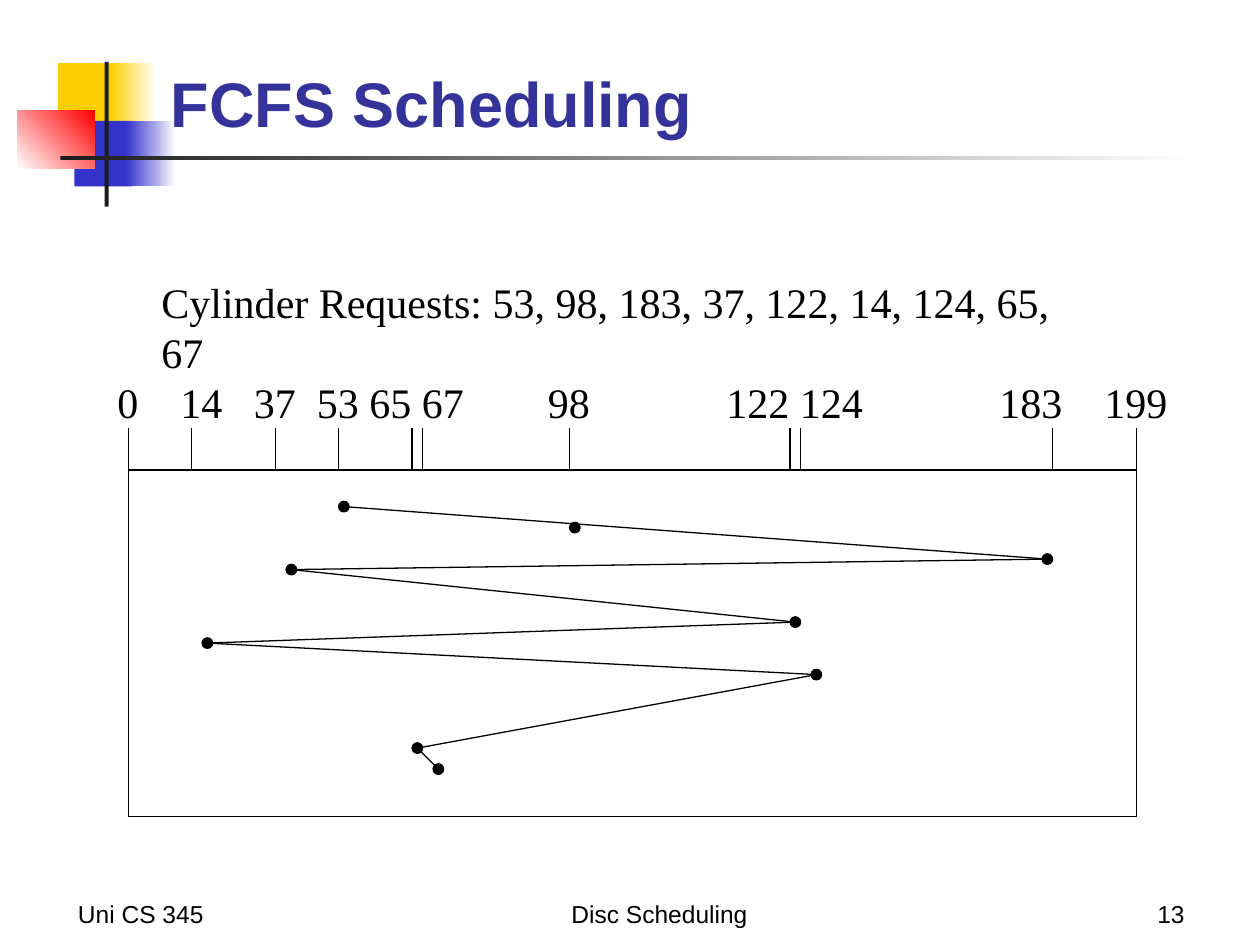
from itertools import pairwise
from lxml.etree import SubElement
from pptx import Presentation
from pptx.dml.color import RGBColor
from pptx.enum.shapes import MSO_CONNECTOR, MSO_SHAPE
from pptx.enum.text import MSO_ANCHOR, PP_ALIGN
from pptx.oxml.ns import qn
from pptx.util import Inches, Pt

BLACK = RGBColor(0x00, 0x00, 0x00)
WHITE = RGBColor(0xFF, 0xFF, 0xFF)
YELLOW = RGBColor(0xFF, 0xCF, 0x01)
BLUE = RGBColor(0x33, 0x33, 0xCC)
RED = RGBColor(0xFF, 0x00, 0x00)
CHARCOAL = RGBColor(0x1C, 0x1C, 0x1C)
INDIGO = RGBColor(0x33, 0x33, 0x99)

CELL = Inches(1) / 12
COLUMNS, ROWS = 120, 90

REQUESTS = [53, 98, 183, 37, 122, 14, 124, 65, 67]
DOT_CELLS = [(20, 3), (42, 5), (87, 8), (15, 9), (63, 14), (7, 16), (65, 19), (27, 26), (29, 28)]
PASSED_OVER = 98
TICK_COLUMNS = [0, 6, 14, 20, 27, 28, 42, 63, 64, 88, 96]
LABEL_COLUMNS = [0, 6, 13, 19, 24, 29, 41, 58, 65, 84, 94]


def cells(*lengths):
    return [round(length * CELL) for length in lengths]


def add_block(slide, kind, box, colors=(), angle=0, outline=None):
    shape = slide.shapes.add_shape(kind, *cells(*box))
    shape.shadow.inherit = False
    if len(colors) == 2:
        shape.fill.gradient()
        shape.fill.gradient_angle = angle
        for stop, color in zip(shape.fill.gradient_stops, colors):
            stop.color.rgb = color
    elif colors:
        shape.fill.solid()
        shape.fill.fore_color.rgb = colors[0]
    else:
        shape.fill.background()
    if outline is None:
        shape.line.fill.background()
    else:
        shape.line.color.rgb = outline
        shape.line.width = Pt(0.75)


def add_line(slide, start, end):
    connector = slide.shapes.add_connector(MSO_CONNECTOR.STRAIGHT, *cells(*start, *end))
    connector.line.color.rgb = BLACK
    connector.line.width = Pt(0.75)
    SubElement(connector._element.spPr, qn("a:effectLst"))


def add_text(slide, text, box, size=24, font="Times New Roman", color=BLACK, bold=False,
             align=PP_ALIGN.LEFT, anchor=MSO_ANCHOR.TOP, wrap=True, right_inset=0.1, tabs=()):
    frame = slide.shapes.add_textbox(*cells(*box)).text_frame
    frame.word_wrap = wrap
    frame.vertical_anchor = anchor
    frame.margin_right = Inches(right_inset)
    paragraph = frame.paragraphs[0]
    paragraph.alignment = align
    run = paragraph.add_run()
    run.text = text
    run.font.name = font
    run.font.size = Pt(size)
    run.font.bold = bold
    run.font.color.rgb = color
    if tabs:
        tab_list = SubElement(paragraph._p.get_or_add_pPr(), qn("a:tabLst"))
        for position in cells(*tabs):
            SubElement(tab_list, qn("a:tab"), pos=str(position), algn="l")


def add_ornament(slide, left, top):
    for x, y, width, height, colors, angle in [
        (3.84, 0.12, 5.76, 6.24, [YELLOW], 0),
        (8.88, 0.12, 4.32, 6.24, [YELLOW, WHITE], 0),
        (5.4, 5.64, 5.52, 6.24, [BLUE], 0),
        (10.32, 5.64, 4.8, 6.24, [BLUE, WHITE], 0),
        (0, 4.68, 7.32, 5.52, [WHITE, RED], 45),
        (8.28, 0, 0.4, 13.8, [CHARCOAL], 0),
        (4.08, 9, 108, 0.4, [CHARCOAL, WHITE], 0),
    ]:
        add_block(slide, MSO_SHAPE.RECTANGLE, (left + x, top + y, width, height), colors, angle)


def add_footer(slide, left, top, width, height):
    side = width * 0.23
    middle = width * 0.35
    for text, x, part, align in [
        ("Uni CS 345", 0, side, PP_ALIGN.LEFT),
        ("Disc Scheduling", width * 0.35, middle, PP_ALIGN.CENTER),
        ("13", width - side, side, PP_ALIGN.RIGHT),
    ]:
        add_text(slide, text, (left + x, top, part, height), size=14, font="Arial",
                 align=align, anchor=MSO_ANCHOR.BOTTOM)


def add_cylinder_axis(slide, left, top):
    labels = [0, *sorted(REQUESTS), 199]
    add_text(slide, "\t".join(map(str, labels)), (left - 2.25, top - 9.5, 102.4, 6),
             right_inset=0, tabs=LABEL_COLUMNS[1:])
    for column in TICK_COLUMNS:
        add_line(slide, (left + column, top - 4), (left + column, top))


def add_seek_chart(slide, left, top, width, height):
    add_block(slide, MSO_SHAPE.RECTANGLE, (left, top, width, height), outline=BLACK)
    add_cylinder_axis(slide, left, top)
    stops = []
    for request, (column, row) in zip(REQUESTS, DOT_CELLS):
        add_block(slide, MSO_SHAPE.OVAL, (left + column, top + row, 1, 1), [BLACK], outline=BLACK)
        if request != PASSED_OVER:
            stops.append((left + column + 0.5, top + row + 0.5))
    for start, end in pairwise(stops):
        add_line(slide, start, end)


def build_slide(presentation):
    slide = presentation.slides.add_slide(presentation.slide_layouts[6])
    add_ornament(slide, 1.68, 5.88)
    add_footer(slide, 6.25, 83, 107.75, 6)
    add_text(slide, "FCFS Scheduling", (15.1, 2.5, 102.25, 11.4), size=36, font="Arial",
             color=INDIGO, bold=True, anchor=MSO_ANCHOR.BOTTOM)
    add_text(slide, "Cylinder Requests: " + ", ".join(map(str, REQUESTS)),
             (14.2, 25.75, 91.9, 6), wrap=False)
    add_seek_chart(slide, 12.25, 44.75, 96, 33)


presentation = Presentation()
presentation.slide_width, presentation.slide_height = cells(COLUMNS, ROWS)
build_slide(presentation)
presentation.save("out.pptx")
